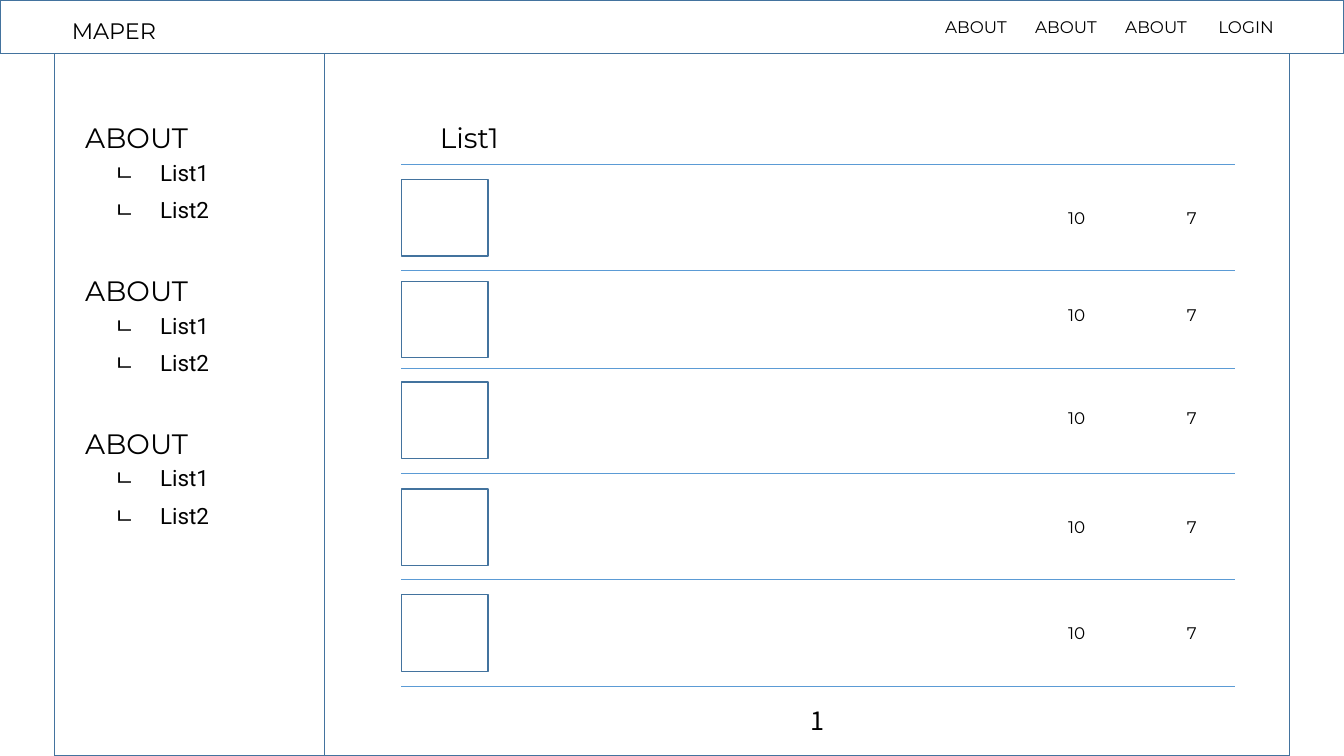
from dataclasses import dataclass

from lxml.etree import SubElement
from pptx import Presentation
from pptx.dml.color import RGBColor
from pptx.enum.shapes import MSO_CONNECTOR as Connector, MSO_SHAPE as Shape
from pptx.enum.text import MSO_ANCHOR as Anchor, MSO_AUTO_SIZE as AutoSize, PP_ALIGN as Align
from pptx.oxml.ns import qn
from pptx.util import Inches, Pt


@dataclass(frozen=True)
class Theme:
    text: RGBColor = RGBColor(0, 0, 0)
    frame: RGBColor = RGBColor(0x43, 0x73, 0x9E)
    rule: RGBColor = RGBColor(0x5B, 0x9B, 0xD5)
    main_font: str = "Montserrat"
    list_font: str = "Roboto"
    page_font: str = "Noto Sans CJK KR"
    small: int = 12
    medium: int = 16
    number: int = 18
    heading: int = 20


def write(box, text, *, size, font, color, align=Align.CENTER, wrap=True, tab=None):
    """Fill a text box; tab is the hanging indent in inches."""
    frame = box.text_frame
    frame.word_wrap = wrap
    frame.auto_size = AutoSize.SHAPE_TO_FIT_TEXT
    frame.vertical_anchor = Anchor.TOP
    para = frame.paragraphs[0]
    para.alignment = align
    span = para.add_run()
    span.text = text
    span.font.size = Pt(size)
    span.font.name = font
    span.font.color.rgb = color
    if tab:
        props = para._p.get_or_add_pPr()
        props.set("marL", str(Inches(tab)))
        props.set("indent", str(-Inches(tab)))
        stops = SubElement(props, qn("a:tabLst"))
        SubElement(stops, qn("a:tab"), pos=str(Inches(tab)), algn="l")


class Painter:
    def __init__(self, page, theme):
        self.page = page
        self.theme = theme

    def frame(self, left, top, width, height):
        box = self.page.shapes.add_shape(
            Shape.RECTANGLE, Inches(left), Inches(top), Inches(width), Inches(height))
        box.shadow.inherit = False
        box.fill.background()
        box.line.color.rgb = self.theme.frame
        box.line.width = Pt(1)

    def rule(self, left, right, top):
        line = self.page.shapes.add_connector(
            Connector.STRAIGHT, Inches(left), Inches(top), Inches(right), Inches(top))
        line.line.color.rgb = self.theme.rule
        line.line.width = Pt(0.5)
        SubElement(line._element.spPr, qn("a:effectLst"))

    def text(self, text, left, top, width, height, *, size, font=None, **style):
        box = self.page.shapes.add_textbox(
            Inches(left), Inches(top), Inches(width), Inches(height))
        write(box, text, size=size, font=font or self.theme.main_font,
              color=self.theme.text, **style)

    def title(self, text, left, top, width, height):
        box = self.page.shapes.title
        box.left, box.top = Inches(left), Inches(top)
        box.width, box.height = Inches(width), Inches(height)
        write(box, text, size=self.theme.heading, font=self.theme.main_font,
              color=self.theme.text)


theme = Theme()
deck = Presentation()
deck.slide_width, deck.slide_height = Inches(13.33), Inches(7.5)
painter = Painter(deck.slides.add_slide(deck.slide_layouts[5]), theme)

# Page frames: header, body and sidebar
BODY_LEFT, HEADER_HEIGHT, BODY_HEIGHT = 0.54, 0.53, 6.97
painter.frame(0, 0, 13.33, HEADER_HEIGHT)
for panel_width in (12.25, 2.68):
    painter.frame(BODY_LEFT, HEADER_HEIGHT, panel_width, BODY_HEIGHT)

# Header: site name and menu
painter.text("MAPER", BODY_LEFT, 0.12, 1.18, 0.37, size=theme.medium)
for index, label in enumerate(("ABOUT", "ABOUT", "ABOUT", "LOGIN")):
    painter.text(label, 9.25 + index * 0.893, 0.12, 0.86, 0.3, size=theme.small)

# Sidebar: three sections of two entries
for section in range(3):
    section_top = 1.15 + section * 1.515
    painter.text("ABOUT", 0.68, section_top, 1.35, 0.44, size=theme.heading)
    for entry in range(2):
        painter.text(f"ㄴ\tList{entry + 1}", 1.04, section_top + 0.38 + entry * 0.37,
                     1.35, 0.37, size=theme.medium, font=theme.list_font,
                     align=Align.LEFT, tab=0.45)

# List: title, rules, thumbnails and counts
LIST_LEFT, LIST_RIGHT = 3.98, 12.25
painter.title("List1", LIST_LEFT, 1.15, 1.35, 0.44)
for rule_top in (1.63, 2.68, 3.65, 4.7, 5.75, 6.81):
    painter.rule(LIST_LEFT, LIST_RIGHT, rule_top)
ROWS = ((1.78, 2.01), (2.79, 2.97), (3.79, 4), (4.85, 5.08), (5.9, 6.13))
for thumbnail_top, count_top in ROWS:
    painter.frame(LIST_LEFT, thumbnail_top, 0.86, 0.76)
    for count, count_left in (("10", 10.25), ("7", 11.39)):
        painter.text(count, count_left, count_top, 0.86, 0.3, size=theme.small)

# Page number
painter.text("1", 7.94, 6.95, 0.34, 0.4, size=theme.number, font=theme.page_font,
             align=Align.LEFT, wrap=False)

deck.save("out.pptx")
